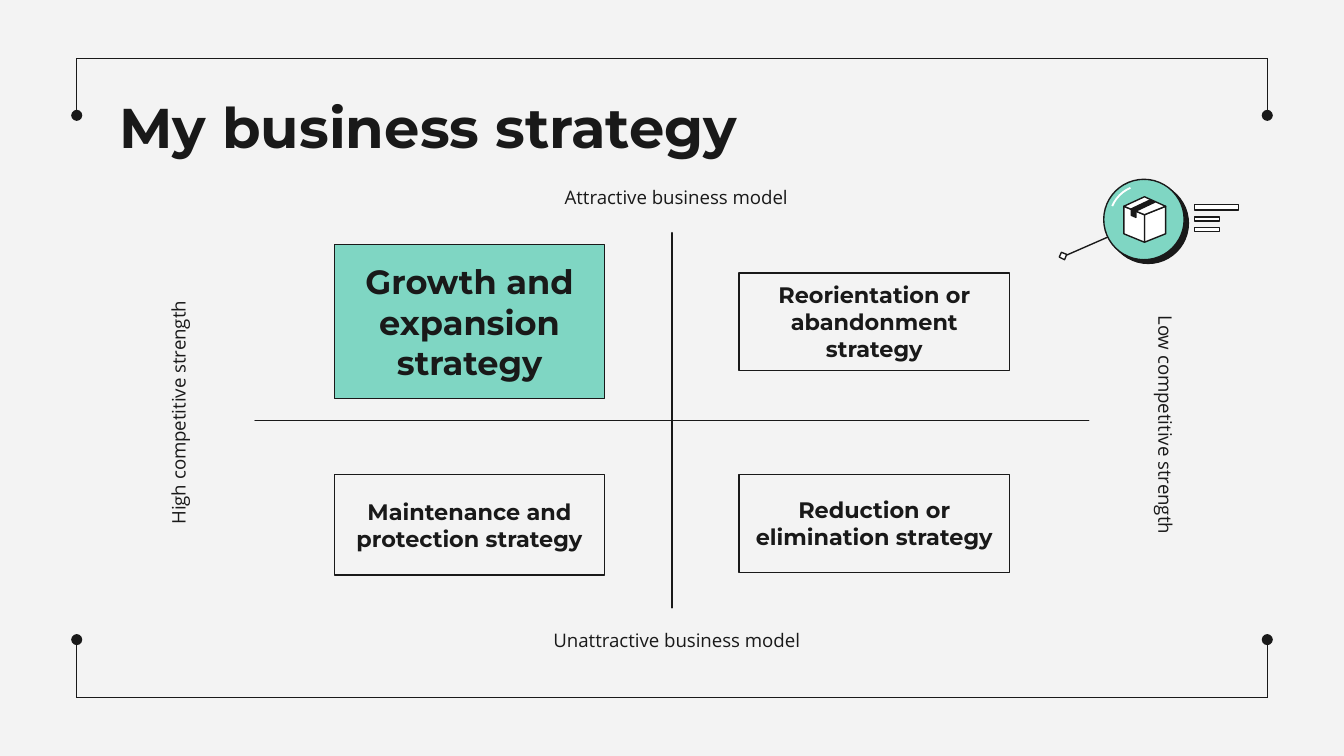
from lxml import etree
from pptx import Presentation
from pptx.dml.color import RGBColor
from pptx.enum import shapes, text
from pptx.oxml.ns import qn
from pptx.util import Cm, Pt

INK = RGBColor(0x19, 0x19, 0x19)
MINT = RGBColor(0x7F, 0xD6, 0xC3)
PAPER = RGBColor(0xF3, 0xF3, 0xF3)
WHITE = RGBColor(0xFF, 0xFF, 0xFF)

HEADING_FONT = "Montserrat"
BODY_FONT = "Open Sans"
LINE_WIDTH = Pt(0.75)
SHAPE = shapes.MSO_SHAPE


def style(sp, fill=None, line=INK, width=LINE_WIDTH):
    sp.shadow.inherit = False
    if fill is None:
        sp.fill.background()
    else:
        sp.fill.solid()
        sp.fill.fore_color.rgb = fill
    sp.line.color.rgb = line
    sp.line.width = width
    return sp


def add_preset(slide, kind, x, y, w, h, **look):
    sp = slide.shapes.add_shape(kind, Cm(x), Cm(y), Cm(w), Cm(h))
    return style(sp, **look)


def add_disc(slide, cx, cy, radius, fill):
    add_preset(slide, SHAPE.OVAL, cx - radius, cy - radius,
               2 * radius, 2 * radius, fill=fill)


def add_polygon(slide, points, fill):
    (x, y), *rest = [(Cm(px), Cm(py)) for px, py in points]
    builder = slide.shapes.build_freeform(x, y)
    builder.add_line_segments(rest, close=True)
    style(builder.convert_to_shape(), fill=fill)


def add_line(slide, x1, y1, x2, y2, dot=False):
    """Draw a straight line, with a round dot at its end if asked."""
    line = slide.shapes.add_connector(
        shapes.MSO_CONNECTOR.STRAIGHT, Cm(x1), Cm(y1), Cm(x2), Cm(y2))
    line.line.color.rgb = INK
    line.line.width = LINE_WIDTH
    if dot:
        ln = line.line._get_or_add_ln()
        etree.SubElement(ln, qn("a:tailEnd"), type="oval", w="med", len="med")
    etree.SubElement(line._element.spPr, qn("a:effectLst"))


def write(sp, words, font, size, bold=False, align=text.PP_ALIGN.CENTER,
          anchor=text.MSO_ANCHOR.TOP):
    tf = sp.text_frame
    tf.word_wrap = True
    tf.vertical_anchor = anchor
    tf.margin_left = tf.margin_right = Cm(0.25)
    tf.margin_top = tf.margin_bottom = Cm(0.25)
    p = tf.paragraphs[0]
    p.alignment = align
    r = p.add_run()
    r.text = words
    r.font.name = font
    r.font.size = Pt(size)
    r.font.bold = bold
    r.font.color.rgb = INK


def add_title(slide, words):
    sp = slide.shapes.add_textbox(Cm(2.01), Cm(1.5), Cm(21.41), Cm(1.6))
    write(sp, words, HEADING_FONT, 30, bold=True, align=text.PP_ALIGN.LEFT)


def add_axis_label(slide, words, x, y, w, rotation=0):
    sp = slide.shapes.add_textbox(Cm(x), Cm(y), Cm(w), Cm(1.02))
    sp.rotation = rotation
    write(sp, words, BODY_FONT, 10)


def add_strategy(slide, words, x, y, h, size=12, fill=None):
    sp = add_preset(slide, SHAPE.RECTANGLE, x, y, 5.11, h, fill=fill)
    write(sp, words, HEADING_FONT, size, bold=True,
          anchor=text.MSO_ANCHOR.MIDDLE)


def add_frame(slide):
    left, right = 1.45, 23.95
    for edge, tick_end in ((1.1, 2.18), (13.19, 12.09)):
        add_line(slide, left, edge, right, edge)
        for x in (left, right):
            add_line(slide, x, edge, x, tick_end, dot=True)


def add_matrix(slide):
    axes = add_preset(slide, SHAPE.MATH_PLUS, 1.98, 3.12, 21.44, 9.65)
    axes.adjustments[0] = 0

    add_axis_label(slide, "Attractive business model", 10.06, 3.3, 5.44)
    add_axis_label(slide, "Unattractive business model", 9.78, 11.68, 6.02)
    add_axis_label(slide, "High competitive strength", 0.79, 7.29, 5.33, 270)
    add_axis_label(slide, "Low competitive strength", 19.2, 7.52, 5.49, 90)

    left, right, lower = 6.32, 13.97, 8.97
    add_strategy(slide, "Growth and expansion strategy",
                 left, 4.62, 2.92, size=18, fill=MINT)
    add_strategy(slide, "Maintenance and protection strategy",
                 left, lower, 1.9)
    add_strategy(slide, "Reduction or elimination strategy",
                 right, lower, 1.85)
    add_strategy(slide, "Reorientation or abandonment strategy",
                 right, 5.16, 1.85)


def add_parcel(slide):
    left, mid, right = 21.24, 21.63, 22.03
    back, side, front = 3.72, 3.9, 4.06
    height = 0.52
    for outer in (right, left):
        add_polygon(slide, [(outer, side), (outer, side + height),
                            (mid, front + height), (mid, front)], WHITE)
    add_polygon(slide, [(mid, back), (right, side),
                        (mid, front), (left, side)], WHITE)
    tape_left, tape_right = (21.38, 3.95), (21.47, 3.99)
    add_polygon(slide, [(21.74, 3.78), (21.83, 3.82),
                        tape_right, tape_left], INK)
    add_polygon(slide, [tape_left, tape_right,
                        (21.47, 4.11), (21.38, 4.07)], INK)


def add_product_icon(slide):
    for y, w, h in ((3.87, 0.84, 0.1), (4.1, 0.48, 0.08), (4.3, 0.48, 0.08)):
        add_preset(slide, SHAPE.RECTANGLE, 22.57, y, w, h, fill=WHITE)
    add_line(slide, 20.14, 4.83, 20.94, 4.48)
    add_polygon(slide, [(20.06, 4.77), (20.16, 4.81),
                        (20.12, 4.91), (20.02, 4.86)], WHITE)

    cx, cy, radius = 21.62, 4.15, 0.76
    add_disc(slide, cx + 0.08, cy + 0.07, radius, INK)
    add_disc(slide, cx, cy, radius, MINT)
    shine = 0.65
    arc = add_preset(slide, SHAPE.ARC, cx - shine, cy - shine,
                     2 * shine, 2 * shine, line=WHITE, width=Pt(1))
    # Arc angles are in 60000ths of a degree, adjustments in 100000ths.
    for i, degrees in enumerate((203, 247)):
        arc.adjustments[i] = degrees * 0.6
    add_parcel(slide)


def main():
    prs = Presentation()
    prs.slide_width, prs.slide_height = Cm(25.4), Cm(14.29)
    s = prs.slides.add_slide(prs.slide_layouts[6])
    s.background.fill.solid()
    s.background.fill.fore_color.rgb = PAPER

    add_frame(s)
    add_title(s, "My business strategy")
    add_matrix(s)
    add_product_icon(s)
    prs.save("out.pptx")


if __name__ == "__main__":
    main()
